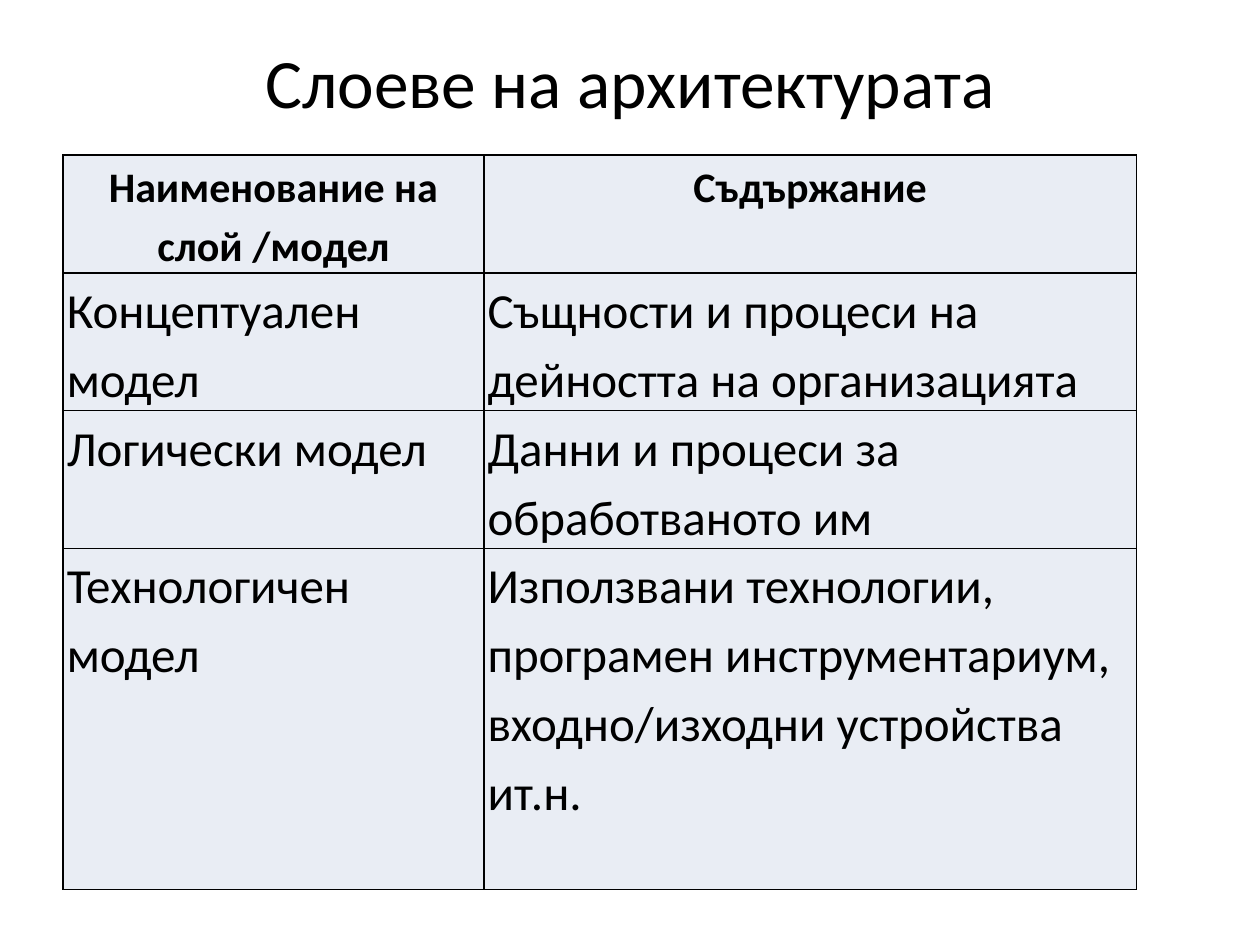
import pptx
import pptx.util
import pptx.dml.color
import pptx.enum.text
from lxml import etree

Inches, Pt = pptx.util.Inches, pptx.util.Pt
ALIGN = pptx.enum.text.PP_ALIGN
ANCHOR = pptx.enum.text.MSO_ANCHOR
NS = "http://schemas.openxmlformats.org/drawingml/2006/main"

TITLE = "Слоеве на архитектурата"
ROWS = [
    ("Наименование на слой /модел", "Съдържание"),
    ("Концептуален модел", "Същности и процеси на дейността на организацията"),
    ("Логически модел", "Данни и процеси за обработваното им"),
    ("Технологичен модел",
     "Използвани технологии, програмен инструментариум, "
     "входно/изходни устройства ит.н."),
]
WIDTHS = [3.34, 5.18]
HEIGHTS = [0.83, 1.04, 1.04, 2.71]
INK, FILL = "000000", "E9EDF4"


def color(code):
    return pptx.dml.color.RGBColor.from_string(code)


def style(para, size, bold, align):
    para.alignment = align
    font = para.font
    font.name, font.size, font.bold = "Calibri", Pt(size), bold
    font.color.rgb = color(INK)


def border(cell):
    props = cell._tc.get_or_add_tcPr()
    for spot, side in enumerate(("lnL", "lnR", "lnT", "lnB")):
        line = etree.Element(f"{{{NS}}}{side}", w=str(Pt(1)))
        solid = etree.SubElement(line, f"{{{NS}}}solidFill")
        etree.SubElement(solid, f"{{{NS}}}srgbClr", val=INK)
        props.insert(spot, line)


def fill_cell(cell, text, head):
    cell.text = text
    cell.margin_left = cell.margin_right = Inches(0.03)
    cell.margin_top = cell.margin_bottom = 0
    cell.vertical_anchor = ANCHOR.TOP
    cell.fill.solid()
    cell.fill.fore_color.rgb = color(FILL)
    para = cell.text_frame.paragraphs[0]
    para.line_spacing = 1.15
    style(para, 24 if head else 28, head, ALIGN.CENTER if head else ALIGN.LEFT)
    border(cell)


def main():
    deck = pptx.Presentation()
    deck.slide_width, deck.slide_height = Inches(10), Inches(7.5)
    slide = deck.slides.add_slide(deck.slide_layouts[5])

    title = slide.shapes.title
    title.left, title.top = Inches(0.5), Inches(0.3)
    title.width, title.height = Inches(9), Inches(0.69)
    title.text = TITLE
    title.text_frame.vertical_anchor = ANCHOR.MIDDLE
    title.text_frame.auto_size = pptx.enum.text.MSO_AUTO_SIZE.NONE
    style(title.text_frame.paragraphs[0], 39.6, False, ALIGN.CENTER)

    table = slide.shapes.add_table(
        len(ROWS), len(WIDTHS), Inches(0.5), Inches(1.23),
        Inches(sum(WIDTHS)), Inches(sum(HEIGHTS))).table
    for col, width in zip(table.columns, WIDTHS):
        col.width = Inches(width)
    for r, (texts, height) in enumerate(zip(ROWS, HEIGHTS)):
        table.rows[r].height = Inches(height)
        for c, text in enumerate(texts):
            fill_cell(table.cell(r, c), text, r == 0)

    deck.save("out.pptx")


if __name__ == "__main__":
    main()
